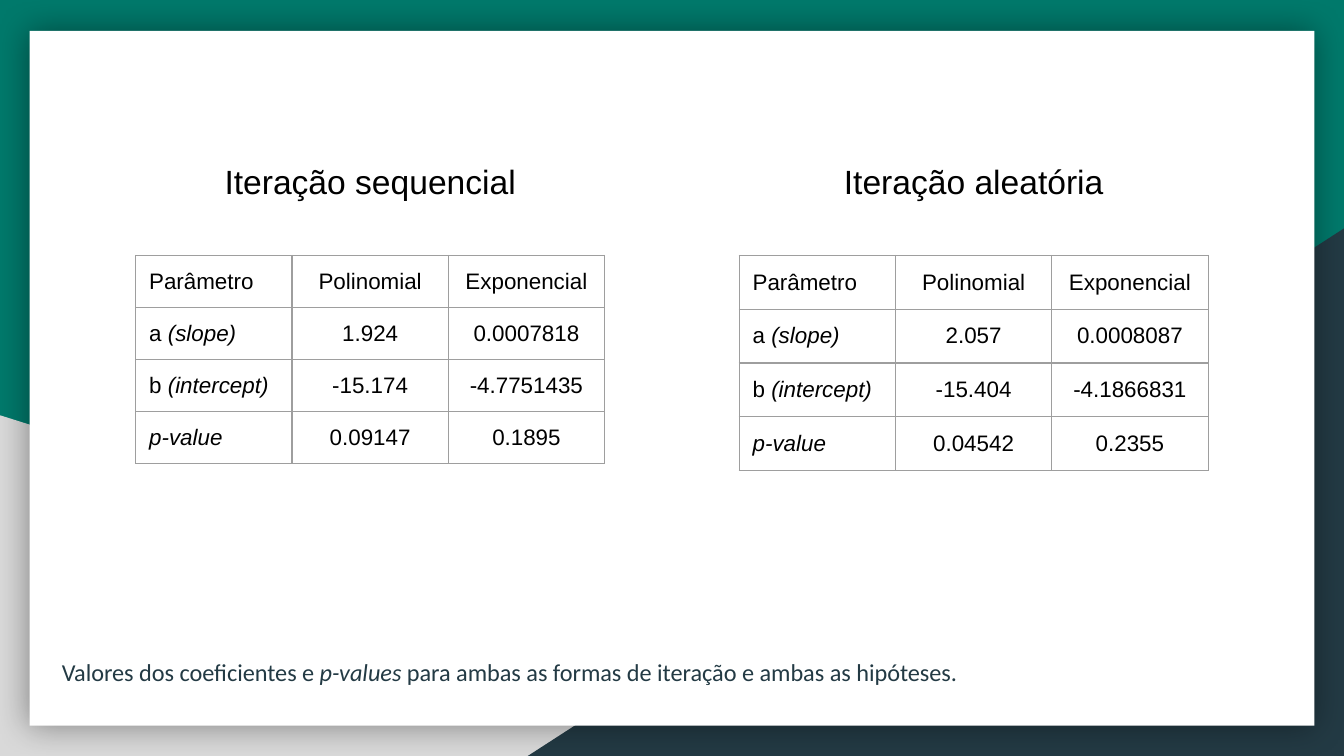
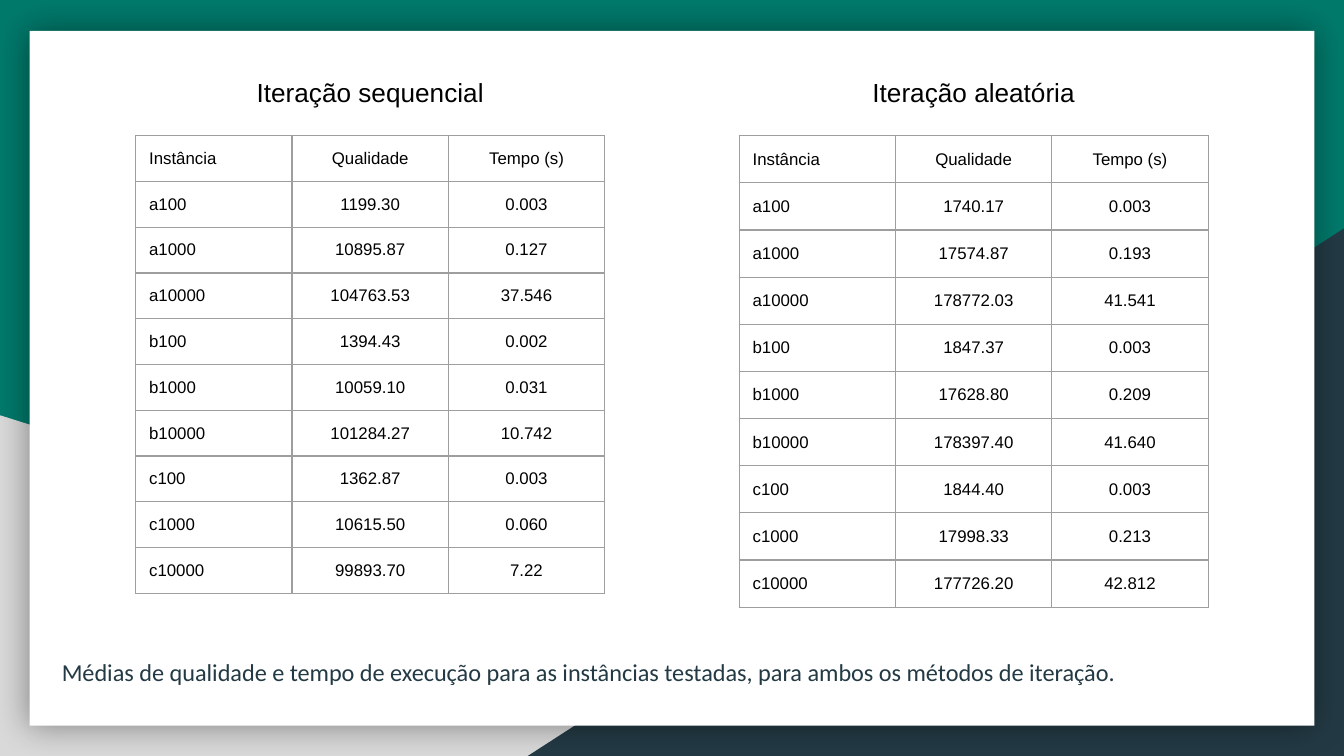
from lxml import etree
from pptx import Presentation
from pptx.dml.color import RGBColor
from pptx.enum.shapes import MSO_SHAPE as Preset
from pptx.enum.text import MSO_ANCHOR as Anchor, PP_ALIGN as Align
from pptx.oxml.ns import qn
from pptx.util import Inches, Pt

COLORS = {
    "green": "00796B",
    "grey": "D9D9D9",
    "navy": "233A44",
    "card": "FFFFFF",
    "text": "000000",
    "border": "9E9E9E",
}
CAPTION_LAYOUT = 7
CAPTION_INDEX = 2
PANEL_LEFTS = (1.01, 5.5)
PANEL_WIDTH = 3.49
PANEL_TITLES = ("Iteração sequencial", "Iteração aleatória")
FRAME_SIDE = 3.28
ROW_HEIGHT = 0.28
HEADING_HEIGHT = 0.66

COEFFICIENT_TABLES = (
    [
        ("Parâmetro", "Polinomial", "Exponencial"),
        ("a *(slope)*", "1.924", "0.0007818"),
        ("b *(intercept)*", "-15.174", "-4.7751435"),
        ("*p-value*", "0.09147", "0.1895"),
    ],
    [
        ("Parâmetro", "Polinomial", "Exponencial"),
        ("a *(slope)*", "2.057", "0.0008087"),
        ("b *(intercept)*", "-15.404", "-4.1866831"),
        ("*p-value*", "0.04542", "0.2355"),
    ],
)
RESULT_TABLES = (
    [
        ("Instância", "Qualidade", "Tempo (s)"),
        ("a100", "1199.30", "0.003"),
        ("a1000", "10895.87", "0.127"),
        ("a10000", "104763.53", "37.546"),
        ("b100", "1394.43", "0.002"),
        ("b1000", "10059.10", "0.031"),
        ("b10000", "101284.27", "10.742"),
        ("c100", "1362.87", "0.003"),
        ("c1000", "10615.50", "0.060"),
        ("c10000", "99893.70", "7.22"),
    ],
    [
        ("Instância", "Qualidade", "Tempo (s)"),
        ("a100", "1740.17", "0.003"),
        ("a1000", "17574.87", "0.193"),
        ("a10000", "178772.03", "41.541"),
        ("b100", "1847.37", "0.003"),
        ("b1000", "17628.80", "0.209"),
        ("b10000", "178397.40", "41.640"),
        ("c100", "1844.40", "0.003"),
        ("c1000", "17998.33", "0.213"),
        ("c10000", "177726.20", "42.812"),
    ],
)


def rgb(name):
    return RGBColor.from_string(COLORS[name])


def write(frame, text, size, font="Arial", color="text", align=Align.LEFT):
    frame.word_wrap = True
    frame.margin_left = frame.margin_right = Inches(0.1)
    frame.margin_top = frame.margin_bottom = Inches(0.1)
    para = frame.paragraphs[0]
    para.alignment = align
    para.space_before = Pt(0)
    para.line_spacing = 1.0
    for position, piece in enumerate(text.split("*")):
        if piece:
            span = para.add_run()
            span.text = piece
            span.font.size = Pt(size)
            span.font.name = font
            span.font.color.rgb = rgb(color)
            span.font.bold = False
            span.font.italic = position % 2 == 1


def add_block(page, preset, box, color):
    block = page.shapes.add_shape(preset, *map(Inches, box))
    block.shadow.inherit = False
    block.fill.solid()
    block.fill.fore_color.rgb = rgb(color)
    block.line.fill.background()
    return block


def add_glow(block):
    effects = block.element.spPr.find(qn("a:effectLst"))
    shadow = etree.SubElement(
        effects, qn("a:outerShdw"), blurRad=str(Pt(18)), dist="0", dir="0",
        algn="ctr", rotWithShape="0",
    )
    color = etree.SubElement(shadow, qn("a:srgbClr"), val=COLORS["text"])
    etree.SubElement(color, qn("a:alpha"), val="40000")


def add_backdrop(page):
    add_block(page, Preset.RIGHT_TRIANGLE, (0, 3.09, 8.06, 2.54), "grey")
    corner = add_block(page, Preset.RIGHT_TRIANGLE, (3.92, 1.7, 6.08, 3.93), "navy")
    corner.element.spPr.find(qn("a:xfrm")).set("flipH", "1")
    add_glow(add_block(page, Preset.RECTANGLE, (0.22, 0.23, 9.56, 5.17), "card"))


def place_caption(page, text, box):
    for holder in list(page.placeholders):
        tree = holder.element.getparent()
        tree.remove(holder.element)
        if holder.placeholder_format.idx == CAPTION_INDEX:
            tree.append(holder.element)
            caption = holder
    caption.left, caption.top, caption.width, caption.height = map(Inches, box)
    caption.text_frame.vertical_anchor = Anchor.BOTTOM
    write(caption.text_frame, text, 13, "Calibri", "navy")


def set_borders(cell):
    properties = cell._tc.get_or_add_tcPr()
    for index, side in enumerate(("lnL", "lnR", "lnT", "lnB")):
        line = etree.Element(qn(f"a:{side}"), w=str(Pt(0.75)))
        fill = etree.SubElement(line, qn("a:solidFill"))
        etree.SubElement(fill, qn("a:srgbClr"), val=COLORS["border"])
        properties.insert(index, line)


def add_grid(page, rows, left, top, size):
    holder = page.shapes.add_table(
        len(rows), len(rows[0]), Inches(left), Inches(top),
        Inches(PANEL_WIDTH), Inches(ROW_HEIGHT * len(rows)),
    )
    grid = holder.table
    grid.first_row = False
    grid.horz_banding = False
    for row, values in enumerate(rows):
        for column, value in enumerate(values):
            cell = grid.cell(row, column)
            cell.fill.background()
            cell.vertical_anchor = Anchor.MIDDLE
            cell.margin_left = cell.margin_right = Inches(0.1)
            cell.margin_top = cell.margin_bottom = Inches(0.1)
            align = Align.CENTER if column else Align.LEFT
            write(cell.text_frame, value, size, align=align)
            set_borders(cell)
    holder.width = holder.height = Inches(FRAME_SIDE)


def add_heading(page, text, left, top, size):
    heading = page.shapes.add_textbox(
        *map(Inches, (left, top, PANEL_WIDTH, HEADING_HEIGHT))
    )
    write(heading.text_frame, text, size, align=Align.CENTER)


def add_comparison(deck, caption, tables, heading_top, heading_size, grid_top, grid_size):
    page = deck.slides.add_slide(deck.slide_layouts[CAPTION_LAYOUT])
    add_backdrop(page)
    place_caption(page, caption, (0.36, 4.55, 8.11, 0.66))
    for left, title, rows in zip(PANEL_LEFTS, PANEL_TITLES, tables):
        add_grid(page, rows, left, grid_top, grid_size)
        add_heading(page, title, left, heading_top, heading_size)


def main():
    deck = Presentation()
    deck.slide_width = Inches(10)
    deck.slide_height = deck.slide_width * 9 // 16
    backdrop = deck.slide_master.background.fill
    backdrop.solid()
    backdrop.fore_color.rgb = rgb("green")
    add_comparison(
        deck,
        "Valores dos coeficientes e *p-values* para ambas as formas de iteração"
        " e ambas as hipóteses.",
        COEFFICIENT_TABLES, 1.1, 18, 1.9, 12,
    )
    add_comparison(
        deck,
        "Médias de qualidade e tempo de execução para as instâncias testadas,"
        " para ambos os métodos de iteração.",
        RESULT_TABLES, 0.47, 14, 1.01, 9,
    )
    deck.save("out.pptx")


if __name__ == "__main__":
    main()
